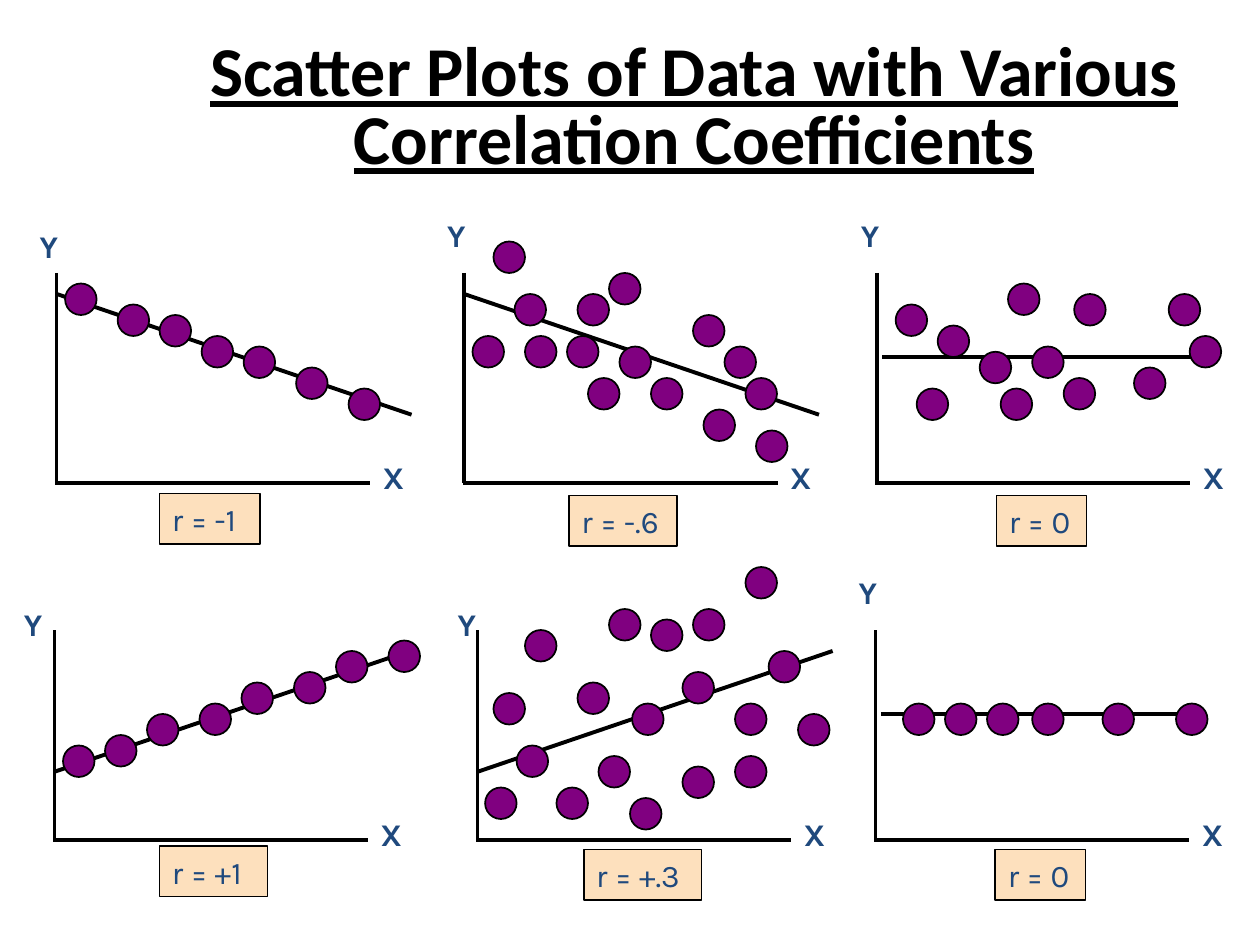
from pptx import Presentation
from pptx.dml.color import RGBColor
from pptx.enum.shapes import MSO_CONNECTOR, MSO_SHAPE
from pptx.enum.text import MSO_ANCHOR, MSO_AUTO_SIZE, PP_ALIGN
from pptx.oxml.ns import qn
from pptx.util import Inches, Pt
from lxml import etree

STRAIGHT = MSO_CONNECTOR.STRAIGHT
OVAL, RECTANGLE = MSO_SHAPE.OVAL, MSO_SHAPE.RECTANGLE
MIDDLE, GROW = MSO_ANCHOR.MIDDLE, MSO_AUTO_SIZE.SHAPE_TO_FIT_TEXT
LEFT, CENTER = PP_ALIGN.LEFT, PP_ALIGN.CENTER
COLORS = {
    name: RGBColor.from_string(value)
    for name, value in {
        "ink": "000000", "dot": "800080", "label": "1F497D", "box": "FDE0BD",
    }.items()
}

deck = Presentation()
deck.slide_width, deck.slide_height = Inches(10), Inches(7.5)
slide = deck.slides.add_slide(deck.slide_layouts[6])
COLUMN, ROW = deck.slide_width / 120, deck.slide_height / 90
DOT_SIZE, LABEL_HEIGHT = 3, 4.8
AXIS_WIDTH, AXIS_HEIGHT = 30, 20


def draw_line(x1, y1, x2, y2, weight):
    line = slide.shapes.add_connector(
        STRAIGHT, int(x1 * COLUMN), int(y1 * ROW), int(x2 * COLUMN), int(y2 * ROW))
    line.line.color.rgb = COLORS["ink"]
    line.line.width = Pt(weight)
    etree.SubElement(line._element.spPr, qn("a:effectLst"))


def write_label(holder, text, bold):
    frame = holder.text_frame
    frame.word_wrap = False
    frame.auto_size = GROW
    paragraph = frame.paragraphs[0]
    paragraph.alignment = LEFT
    run = paragraph.add_run()
    run.text = text
    run.font.name, run.font.size, run.font.bold = "Karla", Pt(18), bold
    run.font.color.rgb = COLORS["label"]


title = slide.shapes.add_textbox(
    int(15 * COLUMN), int(3 * ROW), int(102.2 * COLUMN), int(15 * ROW)).text_frame
title.word_wrap = True
title.vertical_anchor = MIDDLE
heading = title.paragraphs[0]
heading.alignment, heading.line_spacing = CENTER, 0.8
heading_run = heading.add_run()
heading_run.text = "Scatter Plots of Data with Various Correlation Coefficients"
heading_run.font.name, heading_run.font.size = "Calibri", Pt(40)
heading_run.font.bold = heading_run.font.underline = True
heading_run.font.color.rgb = COLORS["ink"]

FALLING = (0, -18, 33.8, -6.5)
RISING = (0, -6.5, 33.8, -18)
FLAT = (0.5, -12, 30.5, -12)

# axis x, baseline, trend, Y label position, coefficient, its box, dots
panels = [
    (5.4, 46, FALLING, (2.6, 21), "r = -1", (15.2, 47, 9.6),
     [(6.2, 27), (11.2, 29), (15.2, 30), (19.2, 32), (23.2, 33), (28.2, 35),
      (33.2, 37)]),
    (44.2, 46, FALLING, (41.4, 20), "r = -.6", (54.2, 47.2, 10.3),
     [(45, 32), (47, 23), (49, 28), (50, 32), (54, 32), (55, 28), (56, 36),
      (58, 26), (59, 33), (62, 36), (66, 30), (67, 39), (69, 33), (71, 36),
      (72, 41)]),
    (83.5, 46, FLAT, (80.8, 20), "r = 0", (94.9, 47.2, 8.6),
     [(85.3, 29), (87.3, 37), (89.3, 31), (93.3, 33.5), (95.3, 37), (96, 27),
      (98.3, 33), (101.3, 36), (102.3, 28), (108, 35), (111.3, 28),
      (113.3, 32)]),
    (5.2, 80, RISING, (1.1, 57), "r = +1", (15.2, 80.6, 10.3),
     [(6, 71), (10, 70), (14, 68), (19, 67), (23, 65), (28, 64), (32, 62),
      (37, 61)]),
    (45.5, 80, RISING, (42.4, 57), "r = +.3", (55.6, 80.9, 11.2),
     [(46.2, 75), (47, 66), (49.2, 71), (50, 60), (53, 75), (55, 65), (57, 72),
      (58, 58), (60, 76), (60.2, 67), (62, 59), (65, 64), (65, 73), (66, 58),
      (70, 67), (70, 72), (71, 54), (73.2, 62), (76, 68)]),
    (83.4, 80, FLAT, (80.6, 54), "r = 0", (94.8, 80.9, 8.6),
     [(x, 67) for x in (86, 90, 94, 98.3, 105, 112)]),
]

for axis_x, baseline, trend, y_label, coefficient, box, dots in panels:
    draw_line(axis_x, baseline - AXIS_HEIGHT, axis_x, baseline, 2)
    draw_line(axis_x - 0.12, baseline, axis_x - 0.12 + AXIS_WIDTH, baseline, 2)
    start_x, start_y, end_x, end_y = trend
    draw_line(axis_x + start_x, baseline + start_y,
              axis_x + end_x, baseline + end_y, 2 if trend == FLAT else 2.25)

    for x, y in dots:
        dot = slide.shapes.add_shape(
            OVAL, int(x * COLUMN), int(y * ROW),
            int(DOT_SIZE * COLUMN), int(DOT_SIZE * ROW))
        dot.shadow.inherit = False
        dot.fill.solid()
        dot.fill.fore_color.rgb = COLORS["dot"]
        dot.line.color.rgb = COLORS["ink"]
        dot.line.width = Pt(1)

    x_label = (axis_x - 0.12 + AXIS_WIDTH, baseline - 3)
    for letter, (x, y) in (("Y", y_label), ("X", x_label)):
        axis_label = slide.shapes.add_textbox(
            int(x * COLUMN), int(y * ROW), int(4.3 * COLUMN), int(LABEL_HEIGHT * ROW))
        write_label(axis_label, letter, True)

    box_x, box_y, box_width = box
    coefficient_box = slide.shapes.add_shape(
        RECTANGLE, int(box_x * COLUMN), int(box_y * ROW),
        int(box_width * COLUMN), int(LABEL_HEIGHT * ROW))
    coefficient_box.shadow.inherit = False
    coefficient_box.fill.solid()
    coefficient_box.fill.fore_color.rgb = COLORS["box"]
    coefficient_box.line.color.rgb = COLORS["ink"]
    coefficient_box.line.width = Pt(1)
    write_label(coefficient_box, coefficient, False)

deck.save("out.pptx")
